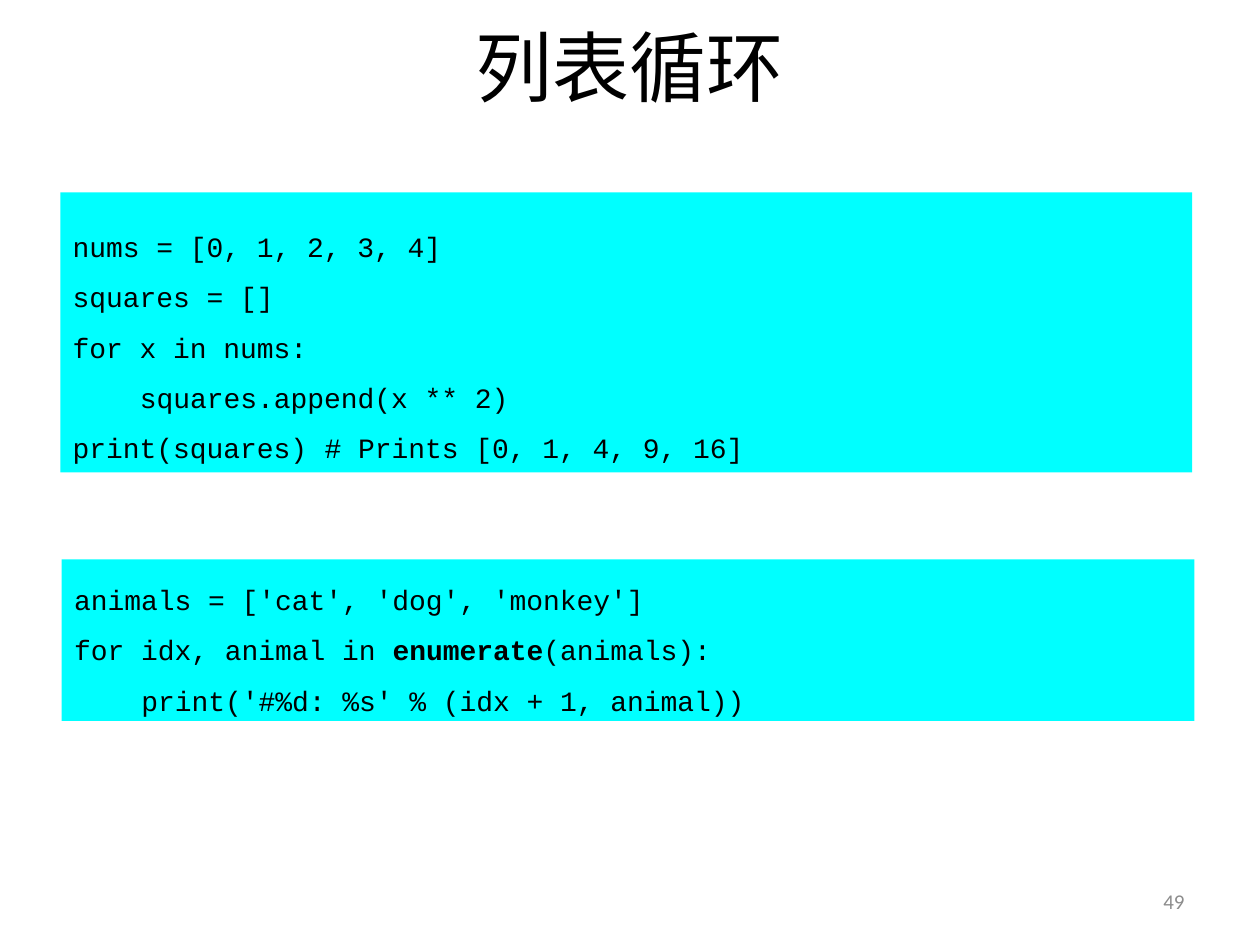
from pptx import Presentation
from pptx.dml.color import RGBColor
from pptx.enum.shapes import MSO_SHAPE
from pptx.enum.text import MSO_ANCHOR, MSO_AUTO_SIZE, PP_ALIGN
from pptx.oxml import parse_xml
from pptx.oxml.ns import nsdecls
from pptx.util import Pt

BLACK, GRAY, CYAN = "000000", "8C8C8C", "00FFFF"
CODE_SIZE = 16
CODE_INDENT = 4 * 0.6 * CODE_SIZE  # four monospaced characters
COMMENT_TAB = 392


def color(hex_string):
    return RGBColor.from_string(hex_string)


def add_text(paragraph, text, *, font="Arial", size=16, fill=BLACK,
             bold=False, align=PP_ALIGN.LEFT):
    """Append one formatted run to a paragraph."""
    paragraph.alignment = align
    run = paragraph.add_run()
    run.text = text
    run.font.name = font
    run.font.size = Pt(size)
    run.font.bold = bold
    run.font.color.rgb = color(fill)


def set_indent(paragraph, level):
    """Indent a code line and give it a tab stop for its comment."""
    properties = paragraph._p.get_or_add_pPr()
    properties.set("marL", str(Pt(level * CODE_INDENT)))
    properties.set("indent", "0")
    properties.append(parse_xml(
        f'<a:tabLst {nsdecls("a")}><a:tab pos="{Pt(COMMENT_TAB)}" algn="l"/></a:tabLst>'))


def add_title(slide, text):
    title = slide.shapes.title
    title.left, title.top, title.width, title.height = Pt(36), Pt(3.6), Pt(648), Pt(67.7)
    title.text_frame.vertical_anchor = MSO_ANCHOR.MIDDLE
    add_text(title.text_frame.paragraphs[0], text, size=44, align=PP_ALIGN.CENTER)


def add_code_box(slide, left, top, width, height, lines, margin_top=3.6, margin_bottom=3.6):
    """Each line is (indent level, runs); a run is (text, bold)."""
    shape = slide.shapes.add_shape(MSO_SHAPE.RECTANGLE, Pt(left), Pt(top), Pt(width), Pt(height))
    shape.shadow.inherit = False
    shape.fill.solid()
    shape.fill.fore_color.rgb = color(CYAN)
    shape.line.fill.background()
    frame = shape.text_frame
    frame.word_wrap = True
    frame.auto_size = MSO_AUTO_SIZE.SHAPE_TO_FIT_TEXT
    frame.vertical_anchor = MSO_ANCHOR.TOP
    frame.margin_left = frame.margin_right = Pt(7.2)
    frame.margin_top, frame.margin_bottom = Pt(margin_top), Pt(margin_bottom)
    for number, (level, runs) in enumerate(lines):
        paragraph = frame.add_paragraph() if number else frame.paragraphs[0]
        paragraph.line_spacing = 1.5
        set_indent(paragraph, level)
        for text, bold in runs:
            add_text(paragraph, text, font="Courier New", size=CODE_SIZE, bold=bold)


def add_page_number(slide, text):
    box = slide.shapes.add_textbox(Pt(516), Pt(500.5), Pt(168), Pt(28.75))
    box.text_frame.word_wrap = True
    box.text_frame.vertical_anchor = MSO_ANCHOR.MIDDLE
    add_text(box.text_frame.paragraphs[0], text, font="Calibri", size=12,
             fill=GRAY, align=PP_ALIGN.RIGHT)


def main():
    presentation = Presentation()
    presentation.slide_width, presentation.slide_height = Pt(720), Pt(540)
    slide = presentation.slides.add_slide(presentation.slide_layouts[5])

    add_title(slide, "列表循环")
    add_page_number(slide, "49")

    # Loop over the values
    add_code_box(slide, 34.5, 110, 646.8, 160, [
        (0, [("nums = [0, 1, 2, 3, 4]", False)]),
        (0, [("squares = []", False)]),
        (0, [("for x in nums:", False)]),
        (1, [("squares.append(x ** 2)", False)]),
        (0, [("print(squares)\t# Prints [0, 1, 4, 9, 16]", False)]),
    ], margin_top=11.5, margin_bottom=5.8)

    # Loop over index and value
    add_code_box(slide, 35.3, 319.7, 647.2, 92.2, [
        (0, [("animals = ['cat', 'dog', 'monkey']", False)]),
        (0, [("for idx, animal in ", False), ("enumerate", True), ("(animals):", False)]),
        (1, [("print('#%d: %s' % (idx + 1, animal))", False)]),
    ])

    presentation.save("out.pptx")


if __name__ == "__main__":
    main()
